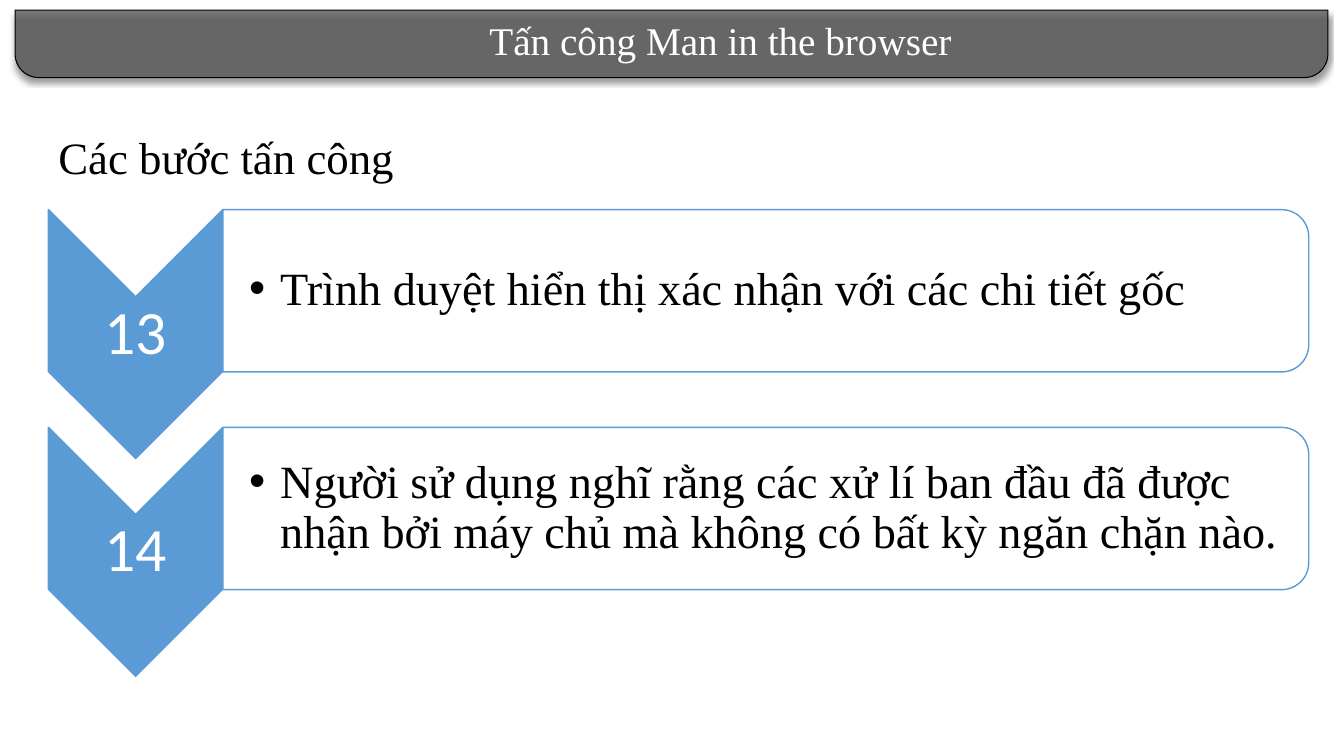
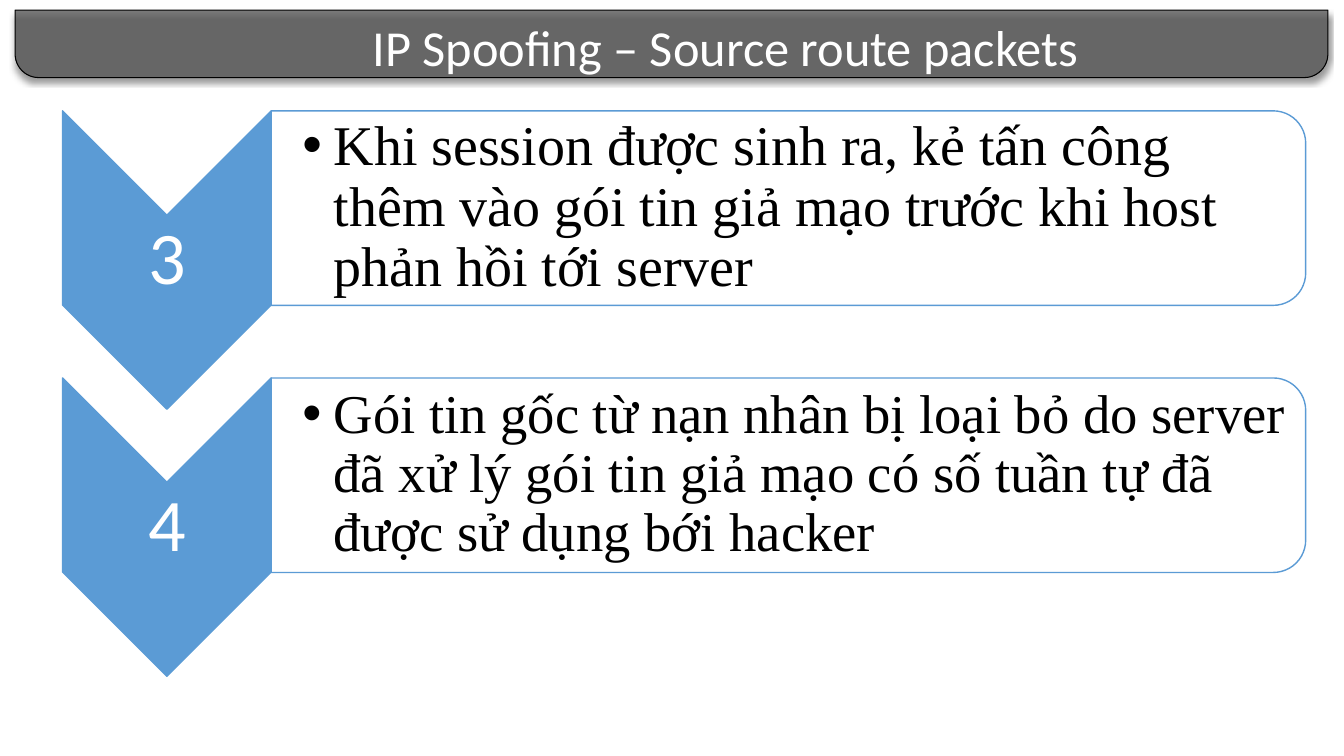
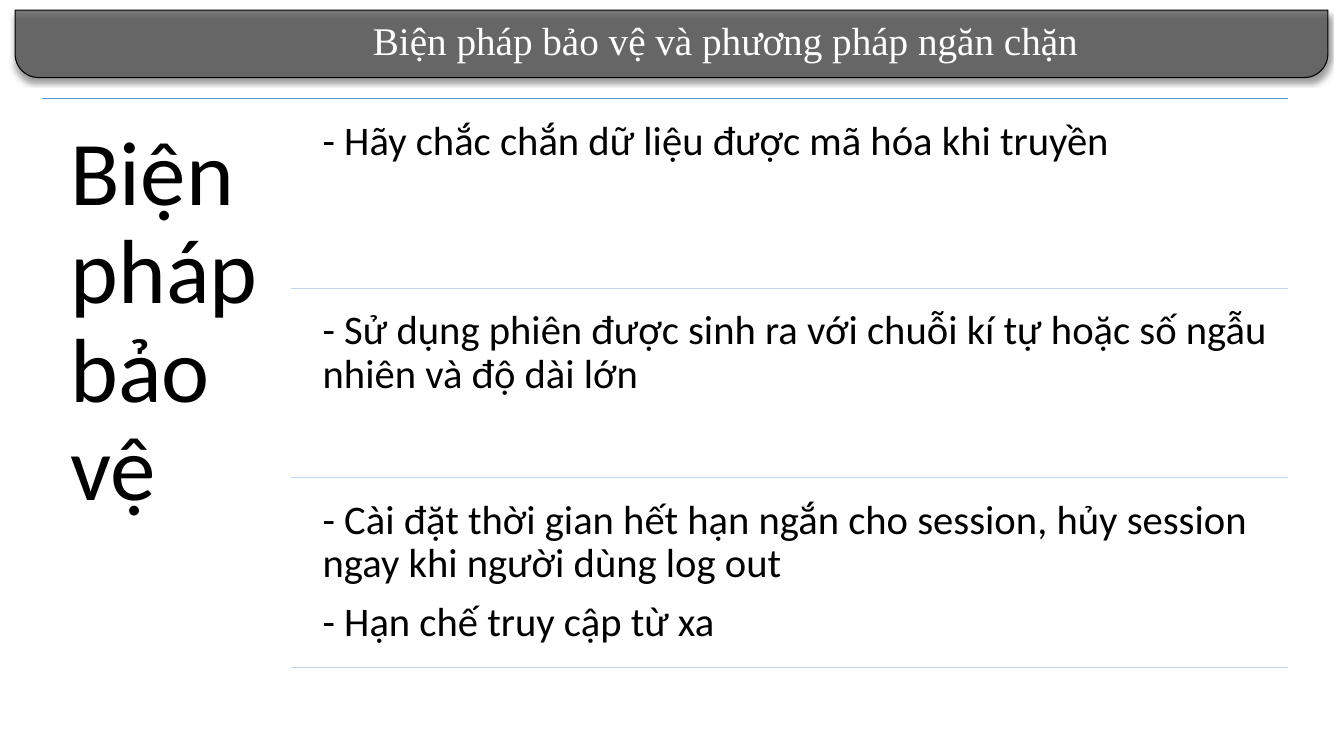
from lxml.etree import SubElement
from pptx import Presentation
from pptx.dml.color import RGBColor
from pptx.enum.shapes import MSO_CONNECTOR, MSO_SHAPE
from pptx.enum.text import MSO_ANCHOR, MSO_AUTO_SIZE, PP_ALIGN
from pptx.oxml.ns import qn
from pptx.util import Inches, Pt

SERIF, SANS = "Times New Roman", "Calibri"
BLACK, WHITE = "000000", "FFFFFF"
BAND_GRAY, BAND_HIGHLIGHT = "666666", "7A7A7A"
BLUE, PALE_BLUE = "5B9BD5", "C4D5EB"

BROWSER_STEPS = {
    "title": ("Tấn công Man in the browser ", SERIF, 28),
    "heading": "Các bước tấn công",
    "left": 0.48, "top": 2.08, "pitch": 2.16,
    "chevron": (1.73, 2.47), "box": (10.77, 1.61),
    "number_size": 44, "inset": 0.26,
    "steps": [
        ("13", "Trình duyệt hiển thị xác nhận với các chi tiết gốc", 33),
        ("14", "Người sử dụng nghĩ rằng các xử lí ban đầu đã được nhận bởi "
               "máy chủ mà không có bất kỳ ngăn chặn nào.", 33),
    ],
}
SPOOFING_STEPS = {
    "title": ("IP Spoofing – Source route packets", SANS, 36),
    "heading": None,
    "left": 0.62, "top": 1.1, "pitch": 2.65,
    "chevron": (2.07, 2.96), "box": (10.26, 1.93),
    "number_size": 53, "inset": 0.31,
    "steps": [
        ("3", "Khi session được sinh ra, kẻ tấn công thêm vào gói tin giả mạo "
              "trước khi host phản hồi tới server", 40),
        ("4", "Gói tin gốc từ nạn nhân bị loại bỏ do server đã xử lý gói tin "
              "giả mạo có số tuần tự đã được sử dụng bới hacker", 39),
    ],
}
PROTECTION = {
    "title": ("Biện pháp bảo vệ và phương pháp ngăn chặn", SERIF, 28),
    "label": "Biện pháp bảo vệ",
    "rows": [
        ["- Hãy chắc chắn dữ liệu được mã hóa khi truyền"],
        ["- Sử dụng phiên được sinh ra với chuỗi kí tự hoặc số ngẫu nhiên "
         "và độ dài lớn"],
        ["- Cài đặt thời gian hết hạn ngắn cho session, hủy session ngay khi "
         "người dùng log out",
         "- Hạn chế truy cập từ xa"],
    ],
}


def color(value):
    return RGBColor.from_string(value)


def format_paragraph(paragraph, font, size, fill, align=PP_ALIGN.LEFT, spacing=None):
    paragraph.alignment = align
    paragraph.line_spacing = spacing
    for run in paragraph.runs:
        run.font.name = font
        run.font.size = Pt(size)
        run.font.color.rgb = color(fill)


def set_insets(frame, left, others):
    frame.margin_left = Inches(left)
    frame.margin_top = frame.margin_right = frame.margin_bottom = Inches(others)


def add_text(slide, area, text, font, size, fill=BLACK, align=PP_ALIGN.LEFT,
             anchor=MSO_ANCHOR.TOP, insets=(0.1, 0.05), spacing=0.9, wrap=True):
    frame = slide.shapes.add_textbox(*map(Inches, area)).text_frame
    frame.word_wrap = wrap
    frame.vertical_anchor = anchor
    set_insets(frame, *insets)
    frame.text = text
    for paragraph in frame.paragraphs:
        format_paragraph(paragraph, font, size, fill, align, spacing)
    return frame


def add_bullet(paragraph, indent):
    properties = paragraph._p.get_or_add_pPr()
    properties.set("marL", str(Inches(indent)))
    properties.set("indent", str(-Inches(indent)))
    SubElement(properties, qn("a:buFont"), typeface="Arial")
    SubElement(properties, qn("a:buChar"), char="•")


def add_preset(slide, preset, area, fill, line, line_width):
    shape = slide.shapes.add_shape(preset, *map(Inches, area))
    shape.shadow.inherit = False
    shape.fill.solid()
    shape.fill.fore_color.rgb = color(fill)
    shape.line.color.rgb = color(line)
    shape.line.width = Pt(line_width)
    return shape


def add_quarter_turned(slide, preset, area, fill):
    left, top, width, height = area
    shift = (width - height) / 2
    turned = (left + shift, top - shift, height, width)
    add_preset(slide, preset, turned, fill, BLUE, 1).rotation = 90


def add_rule(slide, left, right, y, line):
    connector = slide.shapes.add_connector(
        MSO_CONNECTOR.STRAIGHT, Inches(left), Inches(y), Inches(right), Inches(y))
    connector.line.color.rgb = color(line)
    connector.line.width = Pt(1)
    SubElement(connector._element.spPr, qn("a:effectLst"))


def add_title_band(slide):
    band = add_preset(slide, MSO_SHAPE.ROUND_2_SAME_RECTANGLE,
                      (0.15, 0.1, 13.02, 0.67), BAND_GRAY, BLACK, 0.75)
    band.adjustments[0], band.adjustments[1] = 0, 0.35
    band.fill.gradient()
    band.fill.gradient_angle = 270
    stops = zip(band.fill.gradient_stops, (BAND_HIGHLIGHT, BAND_GRAY), (0, 0.15))
    for stop, shade, position in stops:
        stop.color.rgb = color(shade)
        stop.position = position
    effects = band._element.spPr.find(qn("a:effectLst"))
    shadow = SubElement(effects, qn("a:outerShdw"), blurRad=str(Pt(4)),
                        dist=str(Pt(3)), dir="5400000", rotWithShape="0")
    shade = SubElement(shadow, qn("a:srgbClr"), val=BLACK)
    SubElement(shade, qn("a:alpha"), val="40000")
    slide.shapes._spTree.insert(2, band._element)


def set_title(slide, text, font, size):
    title = slide.shapes.title
    title.left, title.top = Inches(3.26), Inches(0.11)
    title.width, title.height = Inches(7.82), Inches(0.66)
    frame = title.text_frame
    frame.text = text
    frame.word_wrap = True
    frame.auto_size = MSO_AUTO_SIZE.NONE
    frame.vertical_anchor = MSO_ANCHOR.TOP
    set_insets(frame, 0.1, 0.05)
    format_paragraph(frame.paragraphs[0], font, size, WHITE, PP_ALIGN.CENTER, 1.0)


def fill_steps(slide, content):
    if content["heading"]:
        add_text(slide, (0.48, 1.24, 3.56, 0.64), content["heading"], SERIF, 32,
                 spacing=1.0, wrap=False)
    left = content["left"]
    chevron_width, chevron_height = content["chevron"]
    box_width, box_height = content["box"]
    box_left = left + chevron_width
    margin = box_height * 0.05
    for index, (number, text, size) in enumerate(content["steps"]):
        top = content["top"] + index * content["pitch"]
        add_quarter_turned(slide, MSO_SHAPE.CHEVRON,
                           (left, top, chevron_width, chevron_height), BLUE)
        add_text(slide, (left, top + chevron_width / 2, chevron_width,
                         chevron_height - chevron_width),
                 number, SANS, content["number_size"], WHITE, PP_ALIGN.CENTER,
                 MSO_ANCHOR.MIDDLE, (0.03, 0.03))
        add_quarter_turned(slide, MSO_SHAPE.ROUND_2_SAME_RECTANGLE,
                           (box_left, top, box_width, box_height), WHITE)
        frame = add_text(slide, (box_left, top + margin, box_width - margin,
                                 box_height - 2 * margin),
                         text, SERIF, size, anchor=MSO_ANCHOR.MIDDLE,
                         insets=(content["inset"], 0.02))
        add_bullet(frame.paragraphs[0], 0.31)


def fill_protection(slide, content):
    left, column, right, top = 0.42, 2.89, 12.77, 0.98
    gap, row_height = 0.09, 1.79
    add_rule(slide, left, right, top, BLUE)
    add_text(slide, (left, top, column - left, 5.73), content["label"], SANS, 65,
             insets=(0.28, 0.28))
    for index, lines in enumerate(content["rows"]):
        row_top = top + gap + index * (row_height + gap)
        frame = add_text(slide, (column + 0.19, row_top, right - column - 0.19, row_height),
                         "\n".join(lines), SANS, 29, insets=(0.12, 0.12))
        for paragraph in frame.paragraphs[:-1]:
            paragraph.space_after = Pt(10.5)
        add_rule(slide, column, right, row_top + row_height, PALE_BLUE)


def main():
    presentation = Presentation()
    presentation.slide_width, presentation.slide_height = Inches(13.33), Inches(7.5)
    layout = presentation.slide_layouts[5]
    pages = [(BROWSER_STEPS, fill_steps), (SPOOFING_STEPS, fill_steps),
             (PROTECTION, fill_protection)]
    for content, fill_page in pages:
        slide = presentation.slides.add_slide(layout)
        add_title_band(slide)
        set_title(slide, *content["title"])
        fill_page(slide, content)
    presentation.save("out.pptx")


if __name__ == "__main__":
    main()
